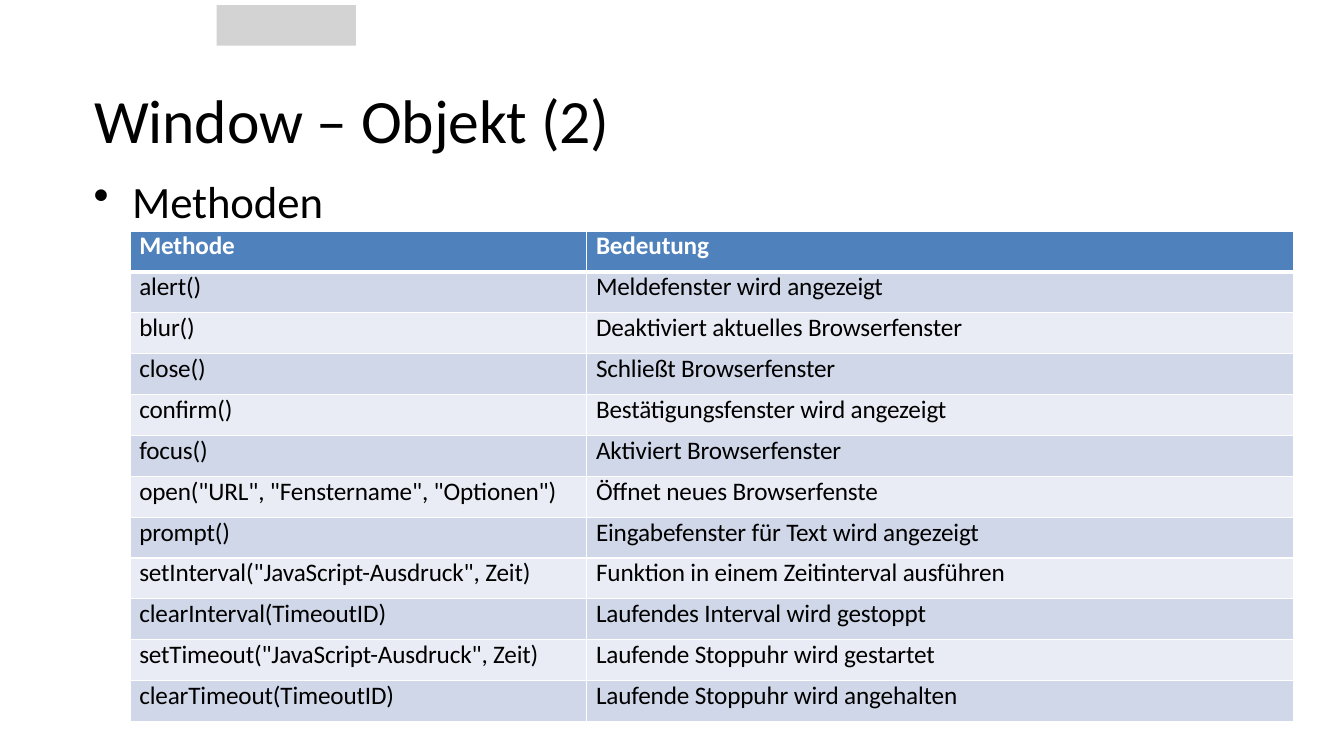
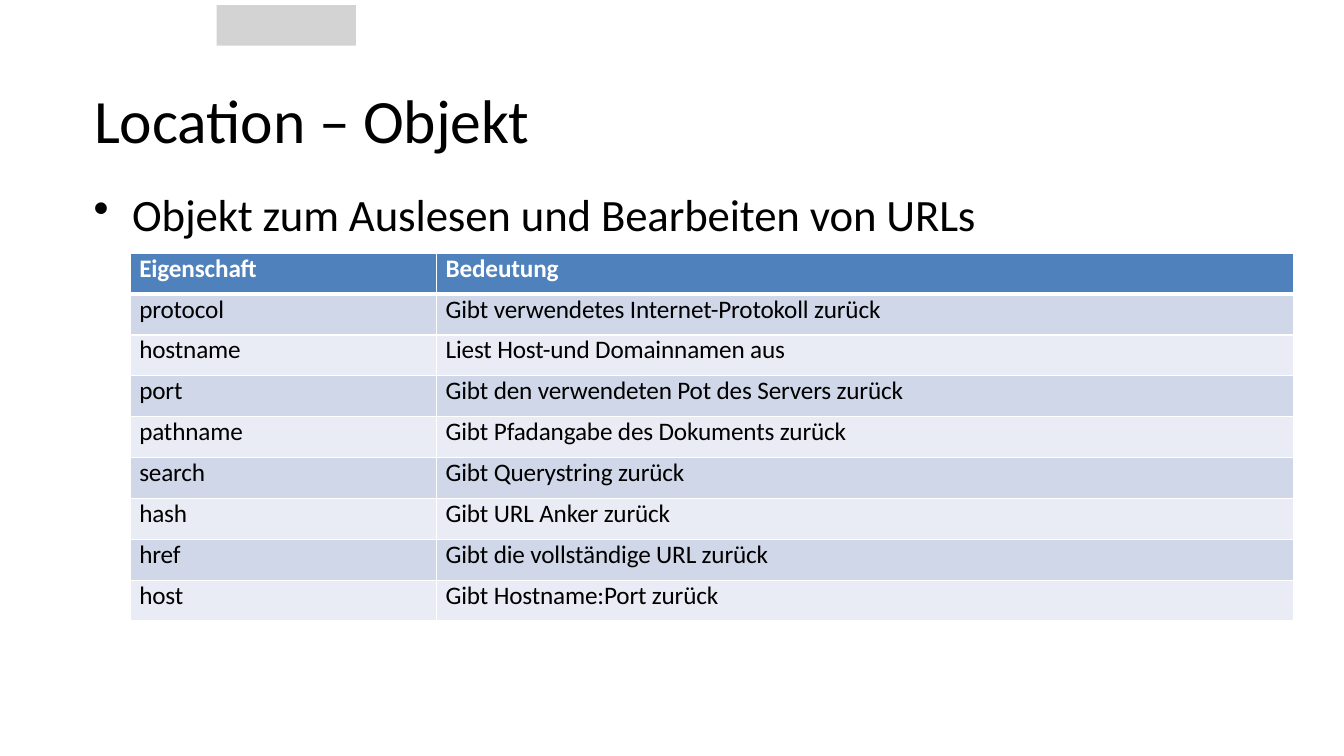
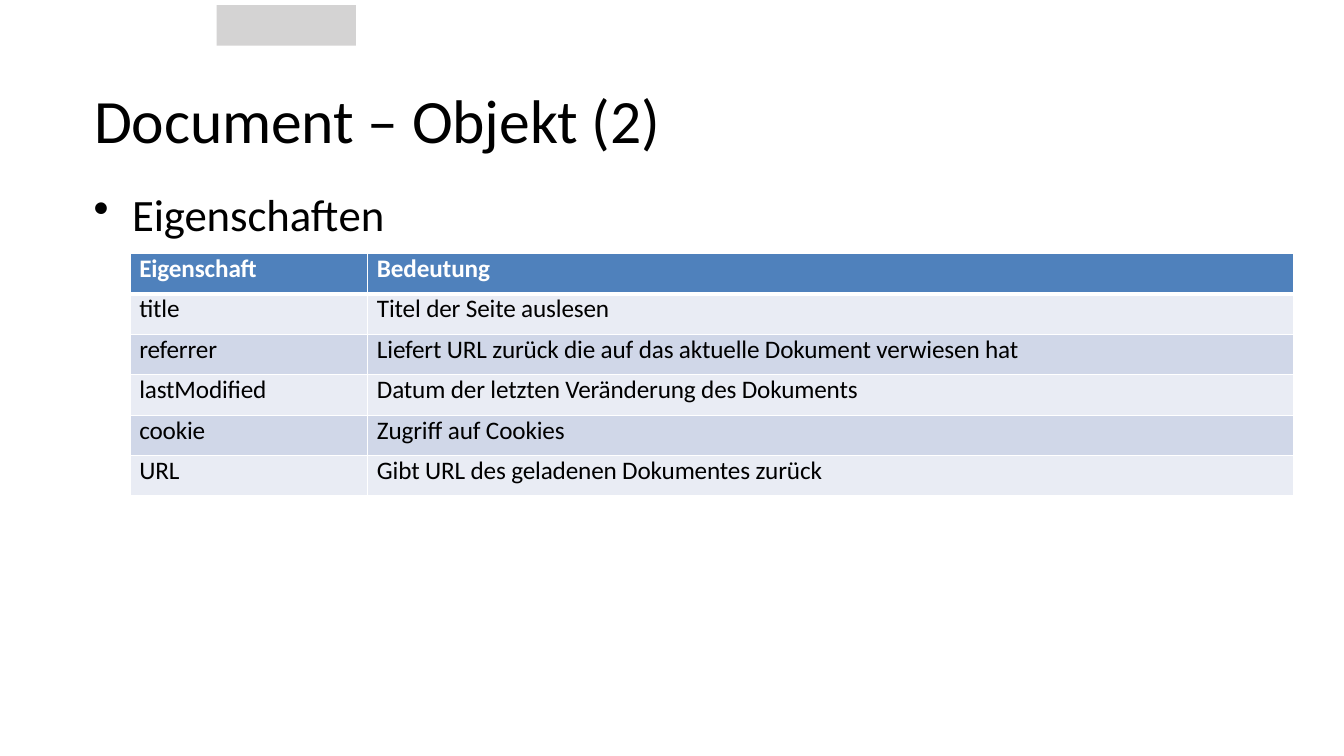
from dataclasses import dataclass

from lxml.etree import SubElement
from pptx import Presentation
from pptx.dml.color import RGBColor
from pptx.enum.shapes import MSO_SHAPE as Preset
from pptx.enum.text import MSO_ANCHOR as Anchor
from pptx.oxml.ns import qn
from pptx.util import Cm, Pt


@dataclass(frozen=True)
class Theme:
    font: str = "Calibri"
    ink: str = "000000"
    paper: str = "FFFFFF"
    badge: str = "D4D3D3"
    header: str = "4F81BC"
    stripe_dark: str = "D0D7E8"
    stripe_light: str = "E9ECF4"
    title_size: int = 44
    bullet_size: int = 32
    table_size: int = 18
    tracking: int = -10  # hundredths of a point
    rule: int = 1
    header_rule: int = 3


class Deck:
    left = 2.34
    table_left = 3.28
    table_width = 29.31

    def __init__(self, theme):
        self.theme = theme
        self.presentation = Presentation()
        self.presentation.slide_width = Cm(33.87)
        self.presentation.slide_height = Cm(19.05)
        self.slide = None

    def add_slide(self, title):
        layout = self.presentation.slide_layouts[6]
        self.slide = self.presentation.slides.add_slide(layout)
        self.badge()
        self.title(title)

    def badge(self):
        shape = self.slide.shapes.add_shape(
            Preset.RECTANGLE, Cm(5.46), Cm(0.13), Cm(3.51), Cm(1.02))
        shape.shadow.inherit = False
        shape.fill.solid()
        shape.fill.fore_color.rgb = RGBColor.from_string(self.theme.badge)
        shape.line.fill.background()

    def text_box(self, left, top, width, height, anchor=Anchor.TOP):
        """Add a wrapped box without insets; return its first paragraph."""
        shape = self.slide.shapes.add_textbox(
            Cm(left), Cm(top), Cm(width), Cm(height))
        frame = shape.text_frame
        frame.word_wrap = True
        frame.vertical_anchor = anchor
        frame.margin_left = frame.margin_right = 0
        frame.margin_top = frame.margin_bottom = 0
        return frame.paragraphs[0]

    def run(self, paragraph, text, size, color, bold=False):
        run = paragraph.add_run()
        run.text = text
        run.font.name = self.theme.font
        run.font.size = Pt(size)
        run.font.bold = bold
        run.font.color.rgb = RGBColor.from_string(color)
        run.font._element.set("spc", str(self.theme.tracking))

    def title(self, text):
        paragraph = self.text_box(self.left + 0.03, 1.27, 29.18, 3.43, Anchor.MIDDLE)
        self.run(paragraph, text, self.theme.title_size, self.theme.ink)

    def bullet(self, text, top, width):
        paragraph = self.text_box(self.left, top, width, 1.45)
        properties = paragraph._p.get_or_add_pPr()
        properties.set("marL", str(Cm(0.99)))
        properties.set("indent", str(Cm(-0.97)))
        SubElement(properties, qn("a:buChar"), char="•")
        self.run(paragraph, text, self.theme.bullet_size, self.theme.ink)

    def borders(self, cell, top, bottom):
        """Draw all four cell edges; top and bottom are widths in points."""
        properties = cell._tc.get_or_add_tcPr()
        edges = {"L": self.theme.rule, "R": self.theme.rule, "T": top, "B": bottom}
        for edge, width in edges.items():
            line = SubElement(properties, qn(f"a:ln{edge}"), w=str(Pt(width)))
            fill = SubElement(line, qn("a:solidFill"))
            SubElement(fill, qn("a:srgbClr"), val=self.theme.paper)

    def table(self, rows, top, first_width, row_height, stripes):
        theme = self.theme
        table = self.slide.shapes.add_table(
            len(rows), 2, Cm(self.table_left), Cm(top),
            Cm(self.table_width), Cm(row_height * len(rows))).table
        table.horz_banding = False
        table.columns[0].width = Cm(first_width)
        table.columns[1].width = Cm(self.table_width - first_width)
        for index, texts in enumerate(rows):
            table.rows[index].height = Cm(row_height)
            is_header = index == 0
            fill = theme.header if is_header else stripes[(index - 1) % 2]
            rule_above = theme.header_rule if index == 1 else theme.rule
            rule_below = theme.header_rule if is_header else theme.rule
            for cell, text in zip(table.rows[index].cells, texts):
                cell.margin_left = Cm(0.23)
                cell.margin_right = cell.margin_top = cell.margin_bottom = 0
                self.borders(cell, rule_above, rule_below)
                cell.fill.solid()
                cell.fill.fore_color.rgb = RGBColor.from_string(fill)
                self.run(cell.text_frame.paragraphs[0], text, theme.table_size,
                         theme.paper if is_header else theme.ink, is_header)


def main():
    theme = Theme()
    deck = Deck(theme)
    dark_first = (theme.stripe_dark, theme.stripe_light)
    light_first = (theme.stripe_light, theme.stripe_dark)

    # Window methods
    deck.add_slide("Window – Objekt (2)")
    deck.bullet("Methoden", 4.39, 5.87)
    deck.table([
        ("Methode", "Bedeutung"),
        ("alert()", "Meldefenster wird angezeigt"),
        ("blur()", "Deaktiviert aktuelles Browserfenster"),
        ("close()", "Schließt Browserfenster"),
        ("confirm()", "Bestätigungsfenster wird angezeigt"),
        ("focus()", "Aktiviert Browserfenster"),
        ('open("URL", "Fenstername", "Optionen")', "Öffnet neues Browserfenste"),
        ("prompt()", "Eingabefenster für Text wird angezeigt"),
        ('setInterval("JavaScript-Ausdruck", Zeit)',
         "Funktion in einem Zeitinterval ausführen"),
        ("clearInterval(TimeoutID)", "Laufendes Interval wird gestoppt"),
        ('setTimeout("JavaScript-Ausdruck", Zeit)', "Laufende Stoppuhr wird gestartet"),
        ("clearTimeout(TimeoutID)", "Laufende Stoppuhr wird angehalten"),
    ], 5.82, 11.51, 1.03, dark_first)

    # Location properties
    deck.add_slide("Location – Objekt")
    deck.bullet("Objekt zum Auslesen und Bearbeiten von URLs", 4.7, 22.48)
    deck.table([
        ("Eigenschaft", "Bedeutung"),
        ("protocol", "Gibt verwendetes Internet-Protokoll zurück"),
        ("hostname", "Liest Host-und Domainnamen aus"),
        ("port", "Gibt den verwendeten Pot des Servers zurück"),
        ("pathname", "Gibt Pfadangabe des Dokuments zurück"),
        ("search", "Gibt Querystring zurück"),
        ("hash", "Gibt URL Anker zurück"),
        ("href", "Gibt die vollständige URL zurück"),
        ("host", "Gibt Hostname:Port zurück"),
    ], 6.38, 7.72, 1.03, dark_first)

    # Document properties
    deck.add_slide("Document – Objekt (2)")
    deck.bullet("Eigenschaften", 4.7, 7.44)
    deck.table([
        ("Eigenschaft", "Bedeutung"),
        ("title", "Titel der Seite auslesen"),
        ("referrer", "Liefert URL zurück die auf das aktuelle Dokument verwiesen hat"),
        ("lastModified", "Datum der letzten Veränderung des Dokuments"),
        ("cookie", "Zugriff auf Cookies"),
        ("URL", "Gibt URL des geladenen Dokumentes zurück"),
    ], 6.38, 5.99, 1.02, light_first)

    deck.presentation.save("out.pptx")


if __name__ == "__main__":
    main()
